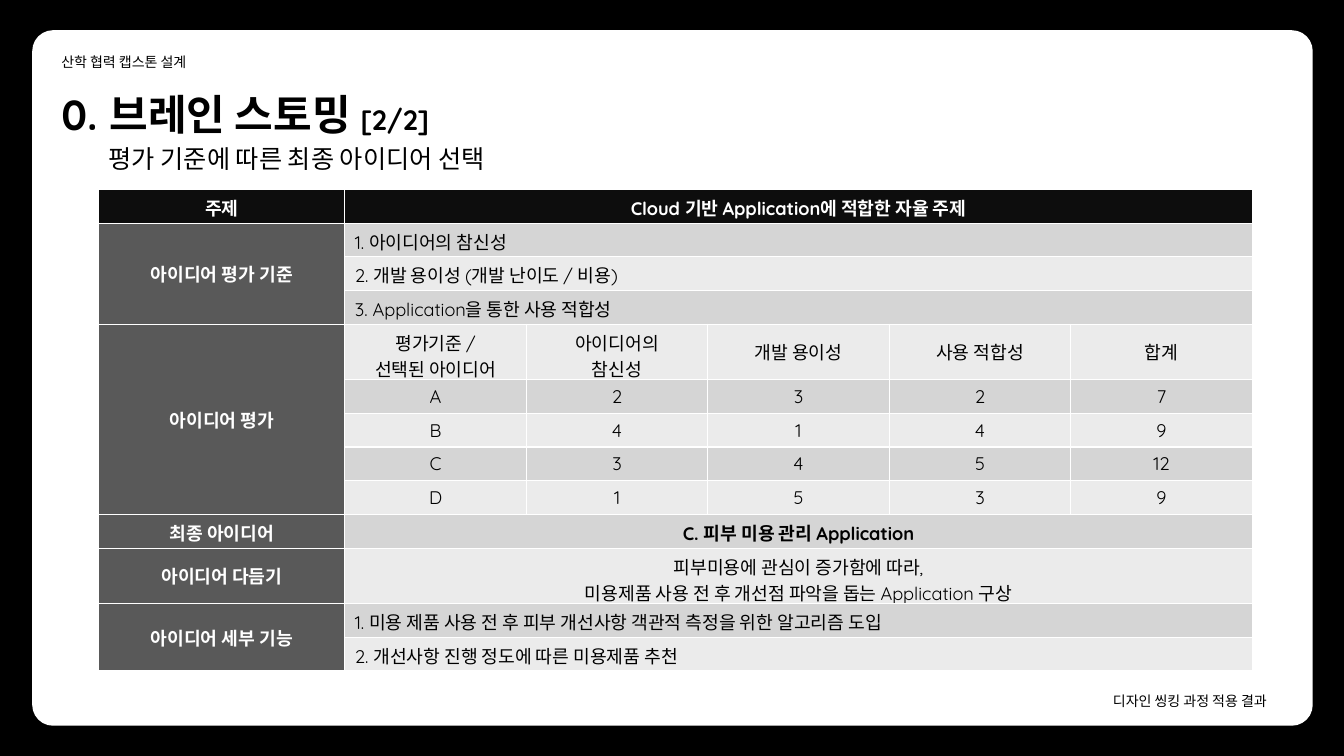
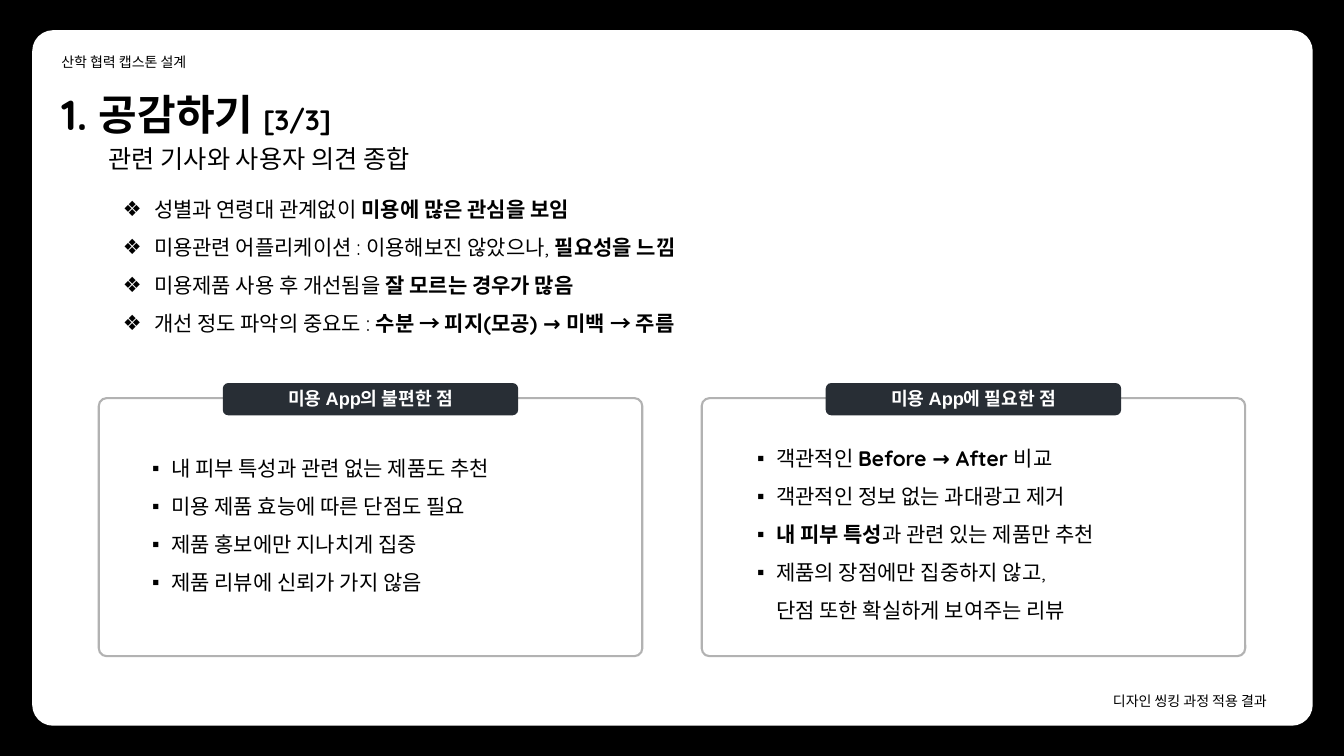
from lxml import etree
from pptx import Presentation
from pptx.dml.color import RGBColor
from pptx.enum.shapes import MSO_SHAPE
from pptx.enum.text import MSO_ANCHOR, MSO_AUTO_SIZE, PP_ALIGN
from pptx.oxml.ns import qn
from pptx.util import Inches, Pt

ROUND_RECT = MSO_SHAPE.ROUNDED_RECTANGLE
LEFT, CENTER = PP_ALIGN.LEFT, PP_ALIGN.CENTER
TOP, MIDDLE = MSO_ANCHOR.TOP, MSO_ANCHOR.MIDDLE
NO_FIT = MSO_AUTO_SIZE.NONE

BLACK = RGBColor(0x00, 0x00, 0x00)
WHITE = RGBColor(0xFF, 0xFF, 0xFF)
HEADER_FILL = RGBColor(0x0D, 0x0D, 0x0D)
LABEL_FILL = RGBColor(0x59, 0x59, 0x59)
BAND_DARK = RGBColor(0xD5, 0xD5, 0xD5)
BAND_LIGHT = RGBColor(0xEB, 0xEB, 0xEB)
PANEL_LINE = RGBColor(0xB2, 0xB2, 0xB2)
TAG_FILL = RGBColor(0x28, 0x2E, 0x35)

FONT = "Quicksand"
TAG_FONT = "Arial"
COURSE = "산학 협력 캡스톤 설계"
FOOTER = "디자인 씽킹 과정 적용 결과"

TABLE_LEFT, TABLE_TOP, TABLE_HEIGHT = 0.98, 1.88, 4.78
LABEL_WIDTH, COL_WIDTH, TALL_ROW = 2.44, 1.8, 0.55
PANEL_TOP, PANEL_WIDTH, PANEL_HEIGHT = 3.95, 5.39, 2.56
TAG_TOP, TAG_WIDTH, TAG_HEIGHT = 3.8, 2.93, 0.32

CRITERIA = [
    "1. 아이디어의 참신성",
    "2. 개발 용이성 (개발 난이도 / 비용)",
    "3. Application을 통한 사용 적합성",
]
SCORES = [
    ["평가기준 /\n선택된 아이디어", "아이디어의\n참신성", "개발 용이성", "사용 적합성", "합계"],
    ["A", "2", "3", "2", "7"],
    ["B", "4", "1", "4", "9"],
    ["C", "3", "4", "5", "12"],
    ["D", "1", "5", "3", "9"],
]
FINAL_IDEA = "C. 피부 미용 관리 Application"
REFINEMENT = "피부미용에 관심이 증가함에 따라,\n미용제품 사용 전 후 개선점 파악을 돕는 Application 구상"
FEATURES = [
    "1. 미용 제품 사용 전 후 피부 개선사항 객관적 측정을 위한 알고리즘 도입",
    "2. 개선사항 진행 정도에 따른 미용제품 추천",
]
SECTIONS = [
    ("아이디어 평가 기준", [[text] for text in CRITERIA], LEFT, False),
    ("아이디어 평가", SCORES, CENTER, False),
    ("최종 아이디어", [[FINAL_IDEA]], CENTER, True),
    ("아이디어 다듬기", [[REFINEMENT]], CENTER, False),
    ("아이디어 세부 기능", [[text] for text in FEATURES], LEFT, False),
]

FINDINGS = [
    [("성별과 연령대 관계없이 ", False), ("미용에 많은 관심을 보임", True)],
    [("미용관련 어플리케이션 : 이용해보진 않았으나, ", False), ("필요성을 느낌", True)],
    [("미용제품 사용 후 개선됨을 ", False), ("잘 모르는 경우가 많음", True)],
    [("개선 정도 파악의 중요도 : ", False), ("수분 → 피지(모공) → 미백 → 주름", True)],
]
COMPLAINTS = [
    [("내 피부 특성과 관련 없는 제품도 추천", False)],
    [("미용 제품 효능에 따른 단점도 필요", False)],
    [("제품 홍보에만 지나치게 집중", False)],
    [("제품 리뷰에 신뢰가 가지 않음", False)],
]
NEEDS = [
    [("객관적인 ", False), ("Before → After ", True), ("비교", False)],
    [("객관적인 정보 없는 과대광고 제거", False)],
    [("내 피부 특성", True), ("과 관련 있는 제품만 추천", False)],
    [("제품의 장점에만 집중하지 않고,\n단점 또한 확실하게 보여주는 리뷰", False)],
]


def add_run(p, text, size, bold=False, color=BLACK, font=FONT):
    for i, line in enumerate(text.split("\n")):
        if i:
            p.add_line_break()
        r = p.add_run()
        r.text = line
        r.font.name = font
        r.font.size = Pt(size)
        r.font.bold = bold
        r.font.color.rgb = color


def set_bullet(p, char, indent):
    pPr = p._p.get_or_add_pPr()
    pPr.set("marL", str(Inches(indent)))
    pPr.set("indent", str(-Inches(indent)))
    etree.SubElement(pPr, qn("a:buFont")).set("typeface", "Arial")
    etree.SubElement(pPr, qn("a:buChar")).set("char", char)


def add_box(s, x, y, w, h):
    tf = s.shapes.add_textbox(Inches(x), Inches(y), Inches(w), Inches(h)).text_frame
    tf.word_wrap = True
    return tf


def add_label(s, text, x, y, w, h, size):
    add_run(add_box(s, x, y, w, h).paragraphs[0], text, size)


def add_bullets(s, items, x, y, w, h, char, indent):
    tf = add_box(s, x, y, w, h)
    for i, runs in enumerate(items):
        p = tf.add_paragraph() if i else tf.paragraphs[0]
        p.line_spacing = 1.5
        set_bullet(p, char, indent)
        for text, bold in runs:
            add_run(p, text, 15, bold)


def add_round_rect(s, x, y, w, h, radius, fill=None, line=None):
    shape = s.shapes.add_shape(ROUND_RECT, Inches(x), Inches(y), Inches(w), Inches(h))
    shape.adjustments[0] = radius
    shape.shadow.inherit = False
    if fill is None:
        shape.fill.background()
    else:
        shape.fill.solid()
        shape.fill.fore_color.rgb = fill
    if line is None:
        shape.line.fill.background()
    else:
        shape.line.color.rgb = line
        shape.line.width = Pt(1.5)
    return shape


def add_panel(s, x, heading):
    add_round_rect(s, x, PANEL_TOP, PANEL_WIDTH, PANEL_HEIGHT, 0.03, line=PANEL_LINE)
    tag_x = x + (PANEL_WIDTH - TAG_WIDTH) / 2
    tag = add_round_rect(s, tag_x, TAG_TOP, TAG_WIDTH, TAG_HEIGHT, 0.17, fill=TAG_FILL)
    tf = tag.text_frame
    tf.word_wrap = False
    tf.vertical_anchor = MIDDLE
    p = tf.paragraphs[0]
    p.alignment = CENTER
    p.line_spacing = 0.9
    add_run(p, heading, 13, True, WHITE, TAG_FONT)


def add_slide(prs, title, page, subtitle):
    s = prs.slides.add_slide(prs.slide_layouts[5])
    card = add_round_rect(s, 0.32, 0.3, 12.7, 6.9, 0.03, fill=WHITE)
    s.shapes._spTree.insert(2, card._element)
    add_label(s, COURSE, 0.51, 0.48, 3.25, 0.27, 10)
    add_label(s, FOOTER, 10.94, 6.82, 2.08, 0.27, 10)

    shape = s.shapes.title
    shape.left, shape.top = Inches(0.51), Inches(0.83)
    shape.width, shape.height = Inches(11.52), Inches(0.61)
    tf = shape.text_frame
    tf.auto_size = NO_FIT
    tf.vertical_anchor = TOP
    p = tf.paragraphs[0]
    p.alignment = LEFT
    add_run(p, title, 30, True)
    add_run(p, page, 20, True)
    add_label(s, subtitle, 0.98, 1.37, 11.84, 0.4, 18)
    return s


def set_cell(cell, text, fill, align=CENTER, bold=False, color=BLACK):
    cell.fill.solid()
    cell.fill.fore_color.rgb = fill
    cell.vertical_anchor = MIDDLE
    tf = cell.text_frame
    for i, line in enumerate(text.split("\n")):
        p = tf.add_paragraph() if i else tf.paragraphs[0]
        p.alignment = align
        add_run(p, line, 13, bold, color)


def add_idea_table(s):
    rows = [row for section in SECTIONS for row in section[1]]
    tall = [any("\n" in text for text in row) for row in rows]
    row_count, col_count = len(rows) + 1, len(SCORES[0]) + 1
    short_row = (TABLE_HEIGHT - TALL_ROW * sum(tall)) / (row_count - sum(tall))
    width = LABEL_WIDTH + COL_WIDTH * (col_count - 1)
    table = s.shapes.add_table(
        row_count, col_count, Inches(TABLE_LEFT), Inches(TABLE_TOP),
        Inches(width), Inches(TABLE_HEIGHT)).table
    for i, col in enumerate(table.columns):
        col.width = Inches(COL_WIDTH if i else LABEL_WIDTH)
    for row, is_tall in zip(table.rows, [False] + tall):
        row.height = Inches(TALL_ROW if is_tall else short_row)

    last = col_count - 1
    table.cell(0, 1).merge(table.cell(0, last))
    set_cell(table.cell(0, 0), "주제", HEADER_FILL, bold=True, color=WHITE)
    set_cell(table.cell(0, 1), "Cloud 기반 Application에 적합한 자율 주제",
             HEADER_FILL, bold=True, color=WHITE)
    top = 1
    for label, body, align, bold in SECTIONS:
        if len(body) > 1:
            table.cell(top, 0).merge(table.cell(top + len(body) - 1, 0))
        set_cell(table.cell(top, 0), label, LABEL_FILL, bold=True, color=WHITE)
        for i, texts in enumerate(body, top):
            if len(texts) == 1:
                table.cell(i, 1).merge(table.cell(i, last))
            for j, text in enumerate(texts, 1):
                set_cell(table.cell(i, j), text, BAND_DARK if i % 2 else BAND_LIGHT, align, bold)
        top += len(body)


def build_brainstorming(prs):
    s = add_slide(prs, "0. 브레인 스토밍 ", "[2/2]", "평가 기준에 따른 최종 아이디어 선택")
    add_idea_table(s)


def build_empathy(prs):
    s = add_slide(prs, "1. 공감하기 ", "[3/3]", "관련 기사와 사용자 의견 종합")
    add_bullets(s, FINDINGS, 1.12, 1.78, 10.73, 1.95, "❖", 0.31)
    add_panel(s, 0.98, "미용 App의 불편한 점")
    add_panel(s, 6.96, "미용 App에 필요한 점")
    add_bullets(s, COMPLAINTS, 1.41, 4.35, 4.49, 1.57, "▪", 0.19)
    add_bullets(s, NEEDS, 7.41, 4.25, 4.62, 1.95, "▪", 0.19)


def main():
    prs = Presentation()
    prs.slide_width, prs.slide_height = Inches(13.33), Inches(7.5)
    background = prs.slide_master.background.fill
    background.solid()
    background.fore_color.rgb = BLACK
    build_brainstorming(prs)
    build_empathy(prs)
    prs.save("out.pptx")


if __name__ == "__main__":
    main()
